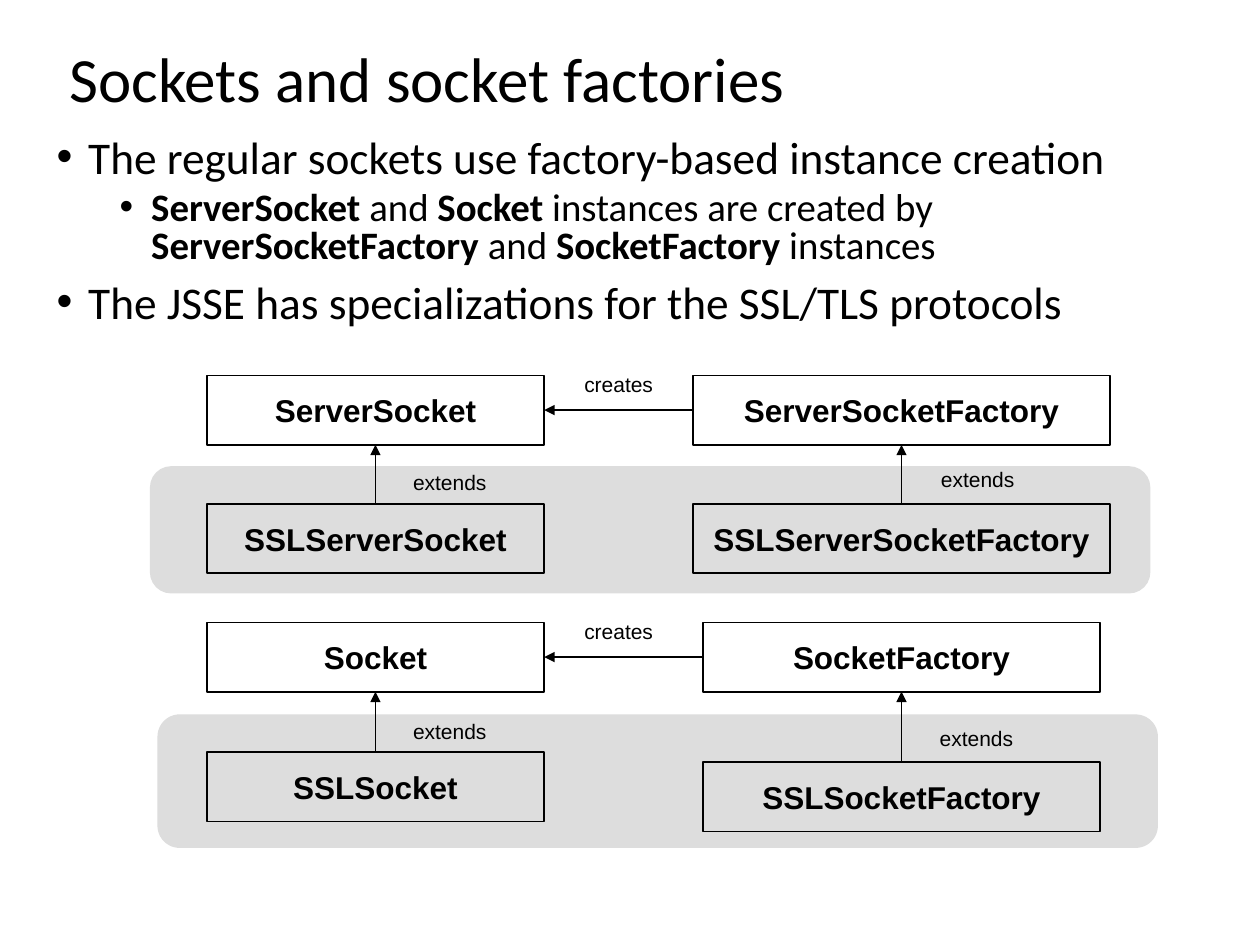
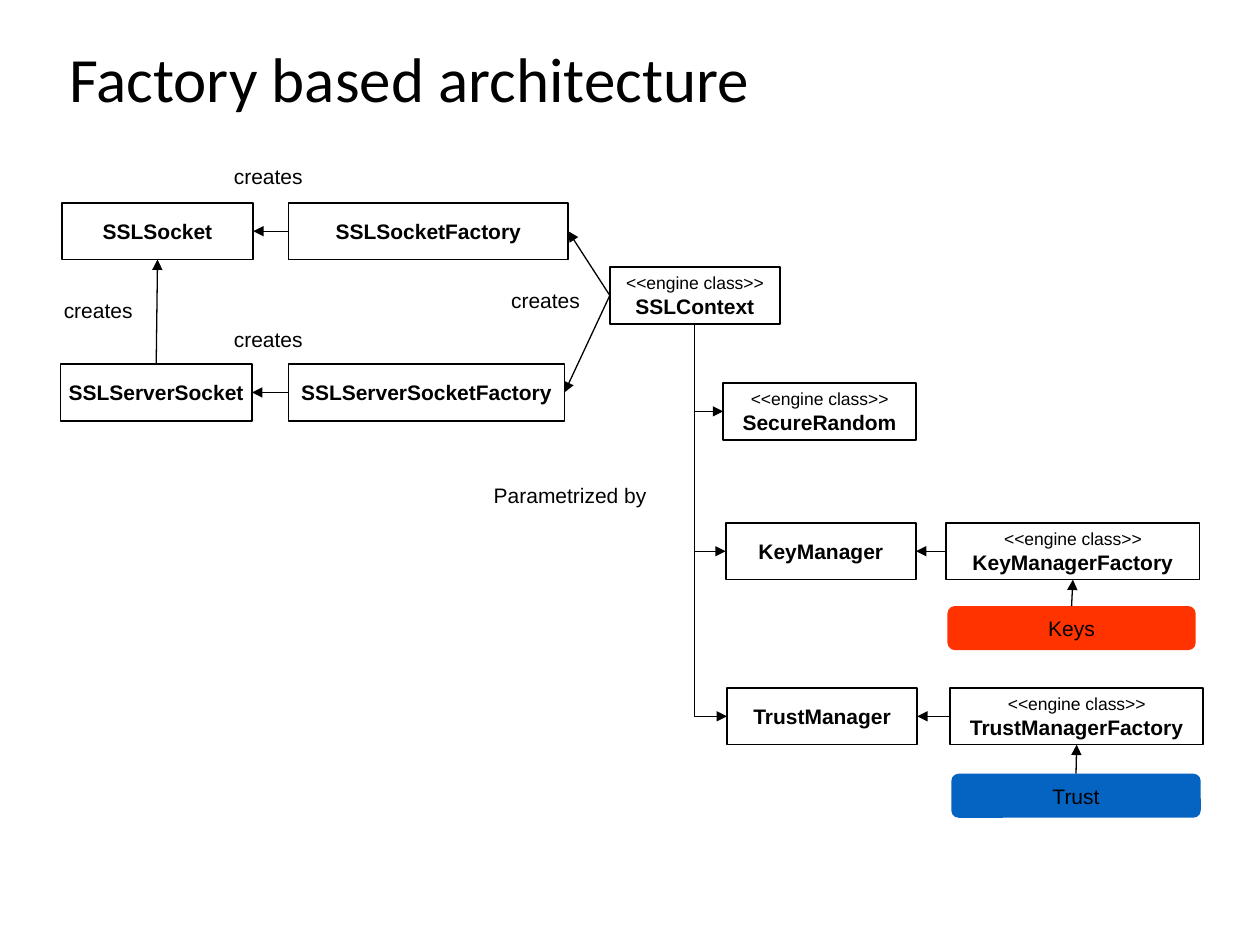
"""Build two slides on socket factories and the factory based architecture."""
from dataclasses import dataclass

from lxml.etree import SubElement
from pptx import Presentation
from pptx.dml.color import RGBColor
from pptx.enum.shapes import MSO_CONNECTOR as CONN, MSO_SHAPE as SHAPE
from pptx.enum.text import MSO_ANCHOR as ANCHOR, MSO_AUTO_SIZE as AUTO, PP_ALIGN as ALIGN
from pptx.oxml.ns import qn
from pptx.util import Inches, Pt

BLACK = RGBColor(0x00, 0x00, 0x00)
GREY = RGBColor(0xDD, 0xDD, 0xDD)
RED = RGBColor(0xFF, 0x33, 0x00)
BLUE = RGBColor(0x05, 0x63, 0xC1)
HEADING_FONT, DIAGRAM_FONT = "Calibri", "Arial"
TOP, LEFT, BOTTOM, RIGHT = range(4)
LABEL_HEIGHT = 0.3


@dataclass(frozen=True)
class Style:
    box_height: float
    box_size: float
    arrow_width: float


@dataclass(frozen=True)
class Box:
    name: str
    x: float
    y: float
    w: float
    engine: bool = False


@dataclass(frozen=True)
class Block:
    x: float
    y: float
    w: float
    h: float
    fill: RGBColor
    name: str = ""


@dataclass(frozen=True)
class Arrow:
    src: str
    src_side: int
    dst: str
    dst_side: int


@dataclass(frozen=True)
class Label:
    text: str
    x: float
    y: float
    w: float


@dataclass(frozen=True)
class Bullet:
    runs: tuple[tuple[str, bool], ...]
    level: int = 0


SOCKETS_STYLE = Style(0.55, 18, 1)
ARCHITECTURE_STYLE = Style(0.45, 12, 0.75)

SOCKETS_BULLETS = (
    Bullet((("The regular sockets use factory-based instance creation", False),)),
    Bullet((("ServerSocket", True), (" and ", False), ("Socket", True),
            (" instances are created by ", False), ("ServerSocketFactory", True),
            (" and ", False), ("SocketFactory", True), (" instances", False)), 1),
    Bullet((("The JSSE has specializations for the SSL/TLS protocols", False),)),
)
SSL_BANDS = (Block(1.25, 5.67, 7.94, 1.06, GREY), Block(1.19, 3.7, 7.94, 1.01, GREY))
SOCKETS_BOXES = (
    Box("ServerSocket", 1.64, 2.98, 2.68),
    Box("SSLServerSocket", 1.64, 4, 2.68),
    Box("Socket", 1.64, 4.94, 2.68),
    Box("SSLSocket", 1.64, 5.97, 2.68),
    Box("ServerSocketFactory", 5.5, 2.98, 3.31),
    Box("SSLServerSocketFactory", 5.5, 4, 3.31),
    Box("SocketFactory", 5.58, 4.94, 3.15),
    Box("SSLSocketFactory", 5.58, 6.05, 3.15),
)
PLAIN_CLASSES = ("ServerSocket", "Socket", "ServerSocketFactory", "SocketFactory")
SOCKETS_ARROWS = (
    *(Arrow(f"SSL{name}", TOP, name, BOTTOM) for name in PLAIN_CLASSES),
    *(Arrow(f"{name}Factory", LEFT, name, RIGHT) for name in PLAIN_CLASSES[:2]),
)
SOCKETS_LABELS = (
    Label("extends", 2.98, 3.68, 1.18),
    Label("extends", 2.98, 5.65, 1.18),
    Label("extends", 7.17, 3.65, 1.18),
    Label("extends", 7.16, 5.71, 1.18),
    Label("creates", 4.32, 2.9, 1.18),
    Label("creates", 4.32, 4.86, 1.18),
)

ARCHITECTURE_BOXES = (
    Box("SSLSocket", 0.49, 1.61, 1.52),
    Box("SSLServerSocket", 0.48, 2.89, 1.52),
    Box("SSLSocketFactory", 2.29, 1.61, 2.22),
    Box("SSLServerSocketFactory", 2.29, 2.89, 2.19),
    Box("SSLContext", 4.84, 2.12, 1.35, True),
    Box("SecureRandom", 5.74, 3.04, 1.53, True),
    Box("KeyManager", 5.76, 4.15, 1.51),
    Box("TrustManager", 5.77, 5.46, 1.51),
    Box("KeyManagerFactory", 7.51, 4.15, 2.01, True),
    Box("TrustManagerFactory", 7.54, 5.46, 2.01, True),
)
STORES = (Block(7.52, 4.81, 1.97, 0.35, RED, "Keys"),
          Block(7.55, 6.14, 1.98, 0.35, BLUE, "Trust"))
FACTORY_PRODUCTS = ("SSLSocket", "SSLServerSocket", "KeyManager", "TrustManager")
ARCHITECTURE_ARROWS = (
    *(Arrow(f"{name}Factory", LEFT, name, RIGHT) for name in FACTORY_PRODUCTS),
    *(Arrow("SSLContext", LEFT, f"{name}Factory", RIGHT) for name in FACTORY_PRODUCTS[:2]),
    Arrow("Keys", TOP, "KeyManagerFactory", BOTTOM),
    Arrow("Trust", TOP, "TrustManagerFactory", BOTTOM),
    Arrow("SSLServerSocket", TOP, "SSLSocket", BOTTOM),
)
CONTEXT_PARAMETERS = ("SecureRandom", "KeyManager", "TrustManager")
ARCHITECTURE_LABELS = (
    Label("creates", 1.75, 2.54, 0.76),
    Label("creates", 1.75, 1.25, 0.76),
    Label("creates", 0.4, 2.31, 0.76),
    Label("creates", 3.95, 2.23, 0.76),
    Label("Parametrized by", 3.63, 3.78, 1.79),
)


def place(sp, x: float, y: float, w: float, h: float) -> None:
    """Move and size a shape, in inches."""
    sp.left, sp.top, sp.width, sp.height = map(Inches, (x, y, w, h))


def add_run(p, text: str, size: float, font: str = DIAGRAM_FONT, bold: bool = False) -> None:
    """Append one black run to a paragraph."""
    r = p.add_run()
    r.text = text
    r.font.name, r.font.size, r.font.bold = font, Pt(size), bold
    r.font.color.rgb = BLACK


def add_slide(prs, layout: int, title: str):
    """Add a slide with a formatted title."""
    slide = prs.slides.add_slide(prs.slide_layouts[layout])
    sp = slide.shapes.title
    place(sp, 0.45, 0.29, 9.1, 0.72)
    tf = sp.text_frame
    tf.auto_size, tf.vertical_anchor = AUTO.NONE, ANCHOR.MIDDLE
    p = tf.paragraphs[0]
    p.alignment, p.line_spacing = ALIGN.LEFT, 0.9
    add_run(p, title, 36, HEADING_FONT)
    return slide


def fill_body(slide, bullets: tuple[Bullet, ...]) -> None:
    """Write the bullet list into the body placeholder."""
    sp = slide.placeholders[1]
    place(sp, 0.35, 1.06, 9.15, 1.72)
    tf = sp.text_frame
    tf.auto_size, tf.vertical_anchor = AUTO.NONE, ANCHOR.TOP
    for i, bullet in enumerate(bullets):
        p = tf.add_paragraph() if i else tf.paragraphs[0]
        p.level = bullet.level
        pPr = p._p.get_or_add_pPr()
        pPr.set("marL", str(Inches(0.25 + 0.5 * bullet.level)))
        pPr.set("indent", str(Inches(-0.25)))
        SubElement(pPr, qn("a:buFont")).set("typeface", DIAGRAM_FONT)
        SubElement(pPr, qn("a:buChar")).set("char", "•")
        p.line_spacing = 0.8
        p.space_before = Pt((5 if bullet.level else 10) if i else 0)
        for text, bold in bullet.runs:
            add_run(p, text, 22.2 if bullet.level else 25.9, HEADING_FONT, bold)


def add_plain_shape(slide, kind: SHAPE, x: float, y: float, w: float, h: float):
    """Add a shape without shadow whose text is centred and unwrapped."""
    sp = slide.shapes.add_shape(kind, *map(Inches, (x, y, w, h)))
    sp.shadow.inherit = False
    tf = sp.text_frame
    tf.word_wrap, tf.vertical_anchor = False, ANCHOR.MIDDLE
    tf.paragraphs[0].alignment = ALIGN.CENTER
    return sp


def add_block(slide, block: Block):
    """Add a filled rounded block."""
    sp = add_plain_shape(slide, SHAPE.ROUNDED_RECTANGLE, block.x, block.y, block.w, block.h)
    sp.fill.solid()
    sp.fill.fore_color.rgb = block.fill
    sp.line.fill.background()
    if block.name:
        add_run(sp.text_frame.paragraphs[0], block.name, 12)
    return sp


def add_box(slide, box: Box, style: Style):
    """Add an outlined class box."""
    sp = add_plain_shape(slide, SHAPE.RECTANGLE, box.x, box.y, box.w, style.box_height)
    sp.fill.background()
    sp.line.color.rgb, sp.line.width = BLACK, Pt(1)
    p = sp.text_frame.paragraphs[0]
    if box.engine:
        add_run(p, "<<engine class>>", 10)
        p = sp.text_frame.add_paragraph()
        p.alignment = ALIGN.CENTER
    add_run(p, box.name, style.box_size, bold=True)
    return sp


def add_arrow(slide, arrow: Arrow, nodes: dict, width: float, kind: CONN = CONN.STRAIGHT):
    """Join two shapes with an arrow."""
    c = slide.shapes.add_connector(kind, 0, 0, 0, 0)
    c.begin_connect(nodes[arrow.src], arrow.src_side)
    c.end_connect(nodes[arrow.dst], arrow.dst_side)
    c.line.color.rgb, c.line.width = BLACK, Pt(width)
    spPr = c.element.spPr
    SubElement(spPr.find(qn("a:ln")), qn("a:tailEnd")).set("type", "triangle")
    SubElement(spPr, qn("a:effectLst"))
    return c


def add_elbow(slide, arrow: Arrow, nodes: dict, width: float) -> None:
    """Join two shapes with an arrow that goes down and then right."""
    c = add_arrow(slide, arrow, nodes, width, CONN.ELBOW)
    x, y, run, drop = c.left, c.top, c.width, c.height
    c.left, c.top = x + (run - drop) // 2, y + (drop - run) // 2
    c.width, c.height = drop, run
    spPr = c.element.spPr
    spPr.find(qn("a:prstGeom")).set("prst", "bentConnector2")
    xfrm = spPr.find(qn("a:xfrm"))
    xfrm.set("rot", "16200000")
    xfrm.set("flipH", "1")


def add_label(slide, label: Label) -> None:
    """Add a centred caption."""
    sp = slide.shapes.add_textbox(*map(Inches, (label.x, label.y, label.w, LABEL_HEIGHT)))
    tf = sp.text_frame
    tf.word_wrap, tf.auto_size = True, AUTO.SHAPE_TO_FIT_TEXT
    tf.paragraphs[0].alignment = ALIGN.CENTER
    add_run(tf.paragraphs[0], label.text, 12)


def add_diagram(slide, style: Style, blocks: tuple[Block, ...], boxes: tuple[Box, ...],
                arrows: tuple[Arrow, ...], labels: tuple[Label, ...]) -> dict:
    """Draw a class diagram and return its shapes by name."""
    nodes = {block.name: add_block(slide, block) for block in blocks}
    nodes |= {box.name: add_box(slide, box, style) for box in boxes}
    for arrow in arrows:
        add_arrow(slide, arrow, nodes, style.arrow_width)
    for label in labels:
        add_label(slide, label)
    return nodes


def main() -> None:
    """Build and save the presentation."""
    prs = Presentation()
    prs.slide_width, prs.slide_height = Inches(10), Inches(7.5)

    slide = add_slide(prs, 1, "Sockets and socket factories")
    fill_body(slide, SOCKETS_BULLETS)
    add_diagram(slide, SOCKETS_STYLE, SSL_BANDS, SOCKETS_BOXES, SOCKETS_ARROWS, SOCKETS_LABELS)

    slide = add_slide(prs, 5, "Factory based architecture")
    nodes = add_diagram(slide, ARCHITECTURE_STYLE, STORES, ARCHITECTURE_BOXES,
                        ARCHITECTURE_ARROWS, ARCHITECTURE_LABELS)
    for name in CONTEXT_PARAMETERS:
        add_elbow(slide, Arrow("SSLContext", BOTTOM, name, LEFT), nodes,
                  ARCHITECTURE_STYLE.arrow_width)

    prs.save("out.pptx")


if __name__ == "__main__":
    main()
